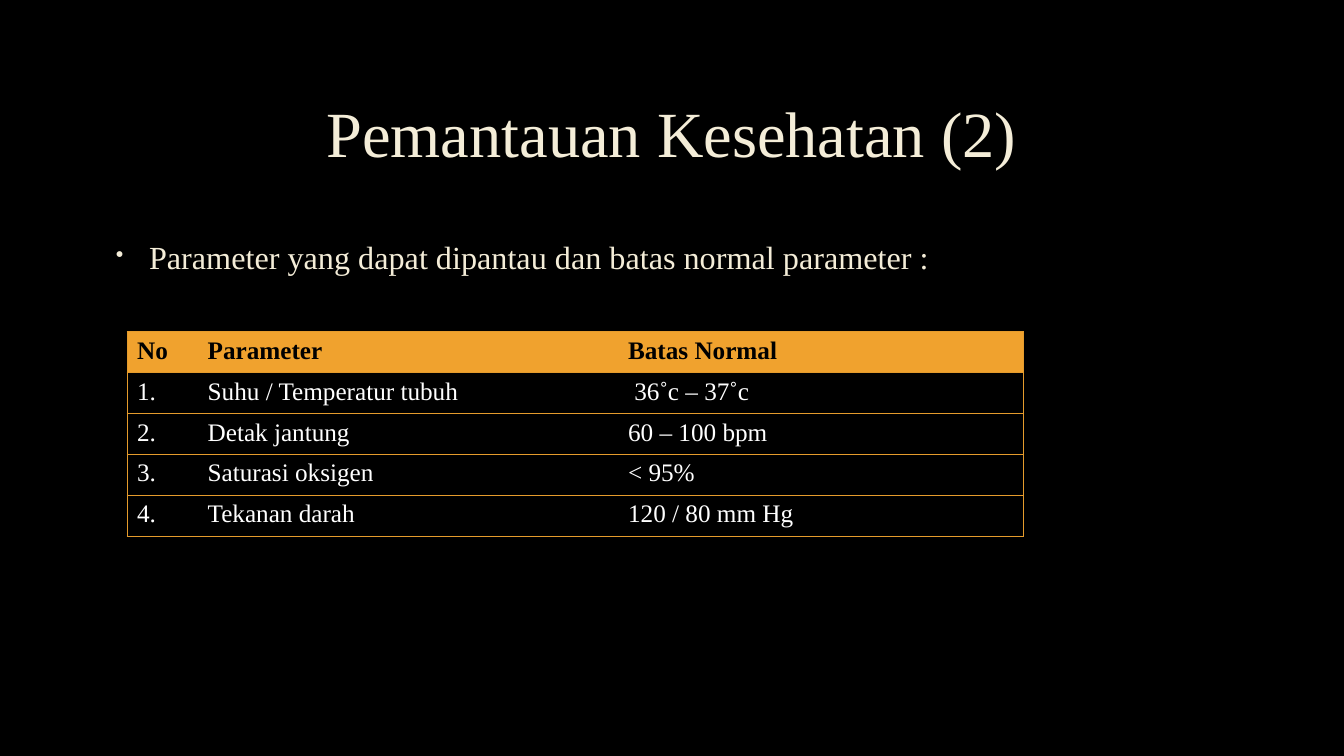
import pptx
import pptx.dml.color
import pptx.enum.text
import pptx.oxml
import pptx.oxml.ns
import pptx.util
from pptx.util import Inches

CREAM, ORANGE, BORDER = "F4EDD8", "F0A22E", "E59B2C"
BLACK, WHITE = "000000", "FFFFFF"


def color(hex_code):
    return pptx.dml.color.RGBColor.from_string(hex_code)


def write(frame, text, size, fill, bold=False, align=None, spacing=None,
          anchor=None, bullet=False):
    frame.word_wrap = True
    if anchor is not None:
        frame.vertical_anchor = anchor
    para = frame.paragraphs[0]
    if bullet:
        props = para._p.get_or_add_pPr()
        props.set("marL", str(Inches(0.38)))
        props.set("indent", str(Inches(-0.33)))
        for tag, value in (("buSzPct", "70000"), ("buChar", "•")):
            mark = pptx.oxml.parse_xml(f"<a:{tag} {pptx.oxml.ns.nsdecls('a')}/>")
            mark.set("char" if tag == "buChar" else "val", value)
            props.append(mark)
    para.alignment = align
    para.line_spacing = spacing
    span = para.add_run()
    span.text = text
    span.font.name = "Times New Roman"
    span.font.size = pptx.util.Pt(size)
    span.font.bold = bold
    span.font.color.rgb = color(fill)


deck = pptx.Presentation()
deck.slide_width, deck.slide_height = Inches(13.33), Inches(7.5)
page = deck.slides.add_slide(deck.slide_layouts[6])
page.background.fill.solid()
page.background.fill.fore_color.rgb = color(BLACK)

# Title and introductory bullet
title = page.shapes.add_textbox(Inches(1), Inches(0.67), Inches(11.32), Inches(1.38))
write(title.text_frame, "Pemantauan Kesehatan (2)", 46, CREAM, spacing=0.9,
      align=pptx.enum.text.PP_ALIGN.CENTER,
      anchor=pptx.enum.text.MSO_ANCHOR.MIDDLE)
intro = page.shapes.add_textbox(Inches(1), Inches(2.27), Inches(11.32), Inches(4.06))
write(intro.text_frame, "Parameter yang dapat dipantau dan batas normal parameter :",
      23, CREAM, spacing=1.1, bullet=True)

# Table of health parameters
rows = [
    ("No", "Parameter", "Batas Normal"),
    ("1.", "Suhu / Temperatur tubuh", " 36˚c – 37˚c"),
    ("2.", "Detak jantung", "60 – 100 bpm"),
    ("3.", "Saturasi oksigen", "< 95%"),
    ("4.", "Tekanan darah", "120 / 80 mm Hg"),
]
widths = [0.7, 4.17, 4.02]
table = page.shapes.add_table(len(rows), len(widths), Inches(1.26), Inches(3.29),
                              Inches(sum(widths)), Inches(2.03)).table
table.horz_banding = False
for column, width in zip(table.columns, widths):
    column.width = Inches(width)

for r, row in enumerate(rows):
    for c, text in enumerate(row):
        cell = table.cell(r, c)
        header = r == 0
        write(cell.text_frame, text, 18, BLACK if header else WHITE, bold=header)
        if header:
            cell.fill.solid()
            cell.fill.fore_color.rgb = color(ORANGE)
        else:
            cell.fill.background()

        # Rules above and below every row, sides only on the outer edge
        sides = {"lnL": c == 0, "lnR": c == len(row) - 1, "lnT": True, "lnB": True}
        for place, (side, drawn) in enumerate(sides.items()):
            paint = (f'<a:solidFill><a:srgbClr val="{BORDER}"/></a:solidFill>'
                     if drawn else "<a:noFill/>")
            line = pptx.oxml.parse_xml(
                f'<a:{side} {pptx.oxml.ns.nsdecls("a")} w="{pptx.util.Pt(0.75)}">'
                f"{paint}</a:{side}>")
            cell._tc.get_or_add_tcPr().insert(place, line)

deck.save("out.pptx")
